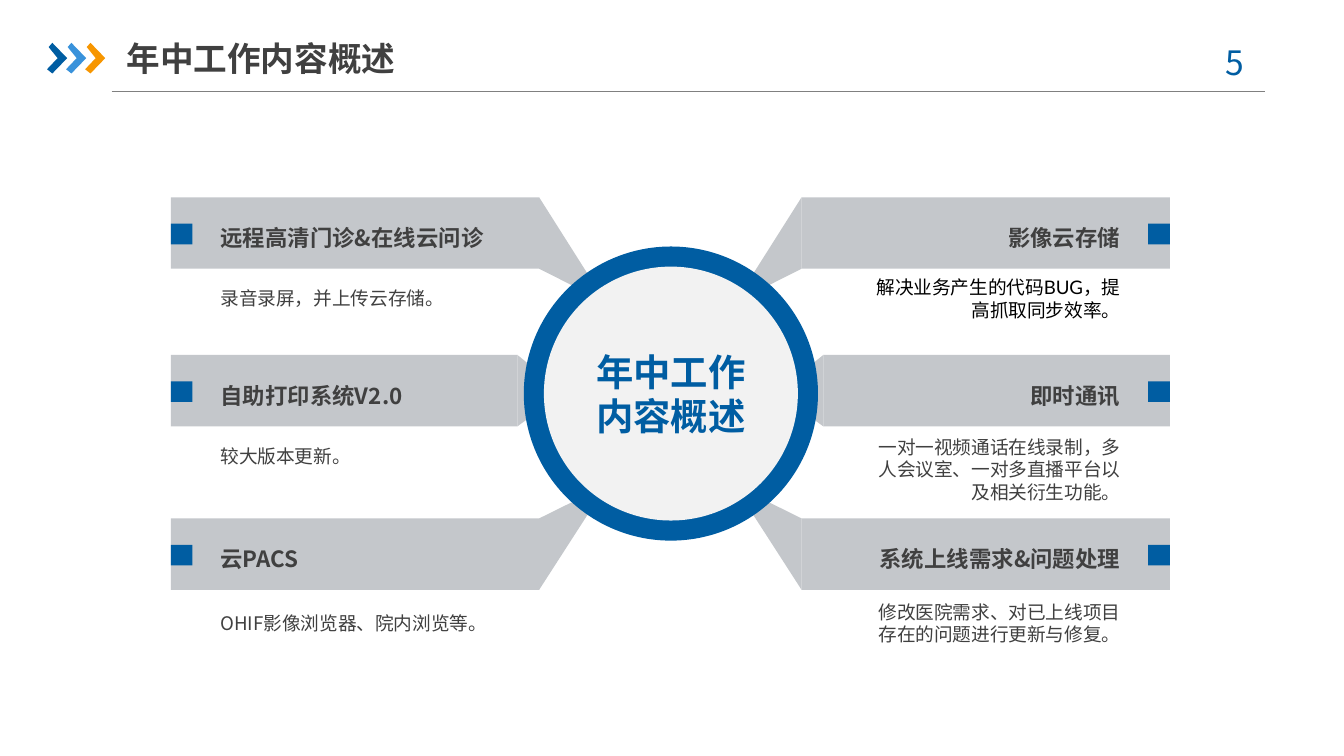
import dataclasses

import pptx
import pptx.dml.color
import pptx.enum.shapes
import pptx.enum.text
import pptx.oxml
import pptx.oxml.ns
import pptx.util

Cm = pptx.util.Cm
SHAPES = pptx.enum.shapes.MSO_SHAPE
ALIGN = pptx.enum.text.PP_ALIGN
ANCHOR = pptx.enum.text.MSO_ANCHOR

SANS = "Noto Sans CJK SC"
BLUE, GREY, DARK = "005DA2", "C4C7CB", "404040"


@dataclasses.dataclass
class Box:
    """A rectangle in centimetres."""
    left: float
    top: float
    width: float
    height: float

    def lengths(self):
        return [Cm(v) for v in (self.left, self.top, self.width, self.height)]

    def inner(self, left, top, width, height, mirrored=False):
        """A box offset from this one, flipped left to right if mirrored."""
        if mirrored:
            left = self.width - left - width
        return Box(self.left + left, self.top + top, width, height)


def color(value):
    return pptx.dml.color.RGBColor.from_string(value)


def paint(shape, fill):
    shape.shadow.inherit = False
    shape.fill.solid()
    shape.fill.fore_color.rgb = color(fill)
    shape.line.fill.background()
    return shape


def add_preset(page, kind, box, fill):
    return paint(page.shapes.add_shape(kind, *box.lengths()), fill)


def add_polygon(page, points, fill):
    corners = [(Cm(x), Cm(y)) for x, y in points]
    builder = page.shapes.build_freeform(*corners[0], scale=1.0)
    builder.add_line_segments(corners[1:], close=True)
    return paint(builder.convert_to_shape(), fill)


def write(frame, lines, size, tint, bold=False, align=ALIGN.LEFT,
          anchor=ANCHOR.MIDDLE, font=SANS):
    frame.word_wrap = True
    frame.vertical_anchor = anchor
    for index, line in enumerate(lines):
        para = frame.add_paragraph() if index else frame.paragraphs[0]
        para.text = line
        para.alignment = align
        para.font.name = font
        para.font.size = pptx.util.Pt(size)
        para.font.bold = bold
        para.font.color.rgb = color(tint)
        # East Asian characters take their typeface from a separate element
        defaults = para._p.pPr.find(pptx.oxml.ns.qn("a:defRPr"))
        east_asian = pptx.oxml.parse_xml(
            f'<a:ea {pptx.oxml.ns.nsdecls("a")} typeface="{font}"/>')
        defaults.append(east_asian)


def add_text(page, box, text, size, tint, **style):
    frame = page.shapes.add_textbox(*box.lengths()).text_frame
    frame.margin_left = frame.margin_right = 0
    write(frame, [text], size, tint, **style)


def add_header(page, box, title, number):
    rule = page.shapes.add_connector(
        pptx.enum.shapes.MSO_CONNECTOR.STRAIGHT,
        Cm(box.left + 1.22), Cm(box.top + box.height),
        Cm(box.left + box.width), Cm(box.top + box.height))
    rule.line.color.rgb = color("808080")
    rule.line.width = pptx.util.Pt(0.75)
    rule._element.spPr.append(pptx.oxml.parse_xml(
        f'<a:effectLst {pptx.oxml.ns.nsdecls("a")}/>'))

    chevron = [(0.03, 0.08), (0.1, 0), (0.38, 0.29), (0.1, 0.58),
               (0, 0.5), (0.2, 0.29)]
    for index, fill in enumerate((BLUE, "3992DB", "F79600")):
        left = box.left + 0.36 * index
        add_polygon(page, [(left + x, box.top + 0.25 + y)
                           for x, y in chevron], fill)

    add_text(page, box.inner(1.5, 0, 5.92, 1.07), title, 18, DARK, bold=True)
    add_text(page, box.inner(21.52, 0.1, 1.85, 1.02), number, 18, BLUE,
             align=ALIGN.CENTER, anchor=ANCHOR.TOP)


def add_branch(page, box, branch, mirrored):
    """Draw a bar with its spoke, marker, heading and note on one side."""
    heading, note, bar_width, spoke, note_top, style = branch
    note_width = 4.67 if mirrored else 4.93
    align = ALIGN.RIGHT if mirrored else ALIGN.LEFT

    add_preset(page, SHAPES.RECTANGLE,
               box.inner(0, 0, bar_width, box.height, mirrored), GREY)
    tips = [(bar_width, 0), *spoke, (bar_width, box.height)]
    corners = [box.inner(x, y, 0, 0, mirrored) for x, y in tips]
    add_polygon(page, [(c.left, c.top) for c in corners], GREY)
    add_preset(page, SHAPES.RECTANGLE,
               box.inner(0, 0.5, 0.41, 0.39, mirrored), BLUE)
    add_text(page, box.inner(0.94, 0.38, 5.44, 0.79, mirrored), heading, 12,
             DARK, bold=True, align=align, anchor=ANCHOR.TOP)
    add_text(page, box.inner(0.94, note_top, note_width, 0.36, mirrored),
             note, 10, **{"tint": DARK, "align": align, **style})


def add_hub(page, box, lines):
    add_preset(page, SHAPES.OVAL, box, BLUE)
    rim = 0.38
    disc = add_preset(page, SHAPES.OVAL,
                      box.inner(rim, rim, box.width - 2 * rim,
                                box.height - 2 * rim), "F2F2F2")
    write(disc.text_frame, lines, 20, BLUE, bold=True, align=ALIGN.CENTER)


def main():
    deck = pptx.Presentation()
    deck.slide_width, deck.slide_height = Cm(25.4), Cm(14.29)
    page = deck.slides.add_slide(deck.slide_layouts[6])

    add_header(page, Box(0.89, 0.56, 23.01, 1.17), "年中工作内容概述", "5")

    upper = [(8.03, 1.69), (7.87, 1.81)]
    middle = [(7.26, 0.58), (7.26, 0.83)]
    lower = [(7.87, -0.45), (8.03, -0.31)]
    plain, accent = {}, {"tint": "000000", "font": "Lato"}
    rows = [
        (3.73,
         ("远程高清门诊&在线云问诊", "录音录屏，并上传云存储。",
          6.96, upper, 1.73, plain),
         ("影像云存储", "解决业务产生的代码BUG，提高抓取同步效率。",
          6.96, upper, 1.73, accent)),
        (6.71,
         ("自助打印系统V2.0", "较大版本更新。", 6.55, middle, 1.73, plain),
         ("即时通讯",
          "一对一视频通话在线录制，多人会议室、一对多直播平台以及相关衍生功能。",
          6.55, middle, 1.98, plain)),
        (9.8,
         ("云PACS", "OHIF影像浏览器、院内浏览等。", 6.96, lower, 1.8, plain),
         ("系统上线需求&问题处理",
          "修改医院需求、对已上线项目存在的问题进行更新与修复。",
          6.96, lower, 1.8, plain)),
    ]
    for top, left_branch, right_branch in rows:
        band = Box(3.23, top, 18.88, 1.35)
        add_branch(page, band, left_branch, mirrored=False)
        add_branch(page, band, right_branch, mirrored=True)

    add_hub(page, Box(9.9, 4.66, 5.56, 5.56), ["年中工作", "内容概述"])
    deck.save("out.pptx")


if __name__ == "__main__":
    main()
